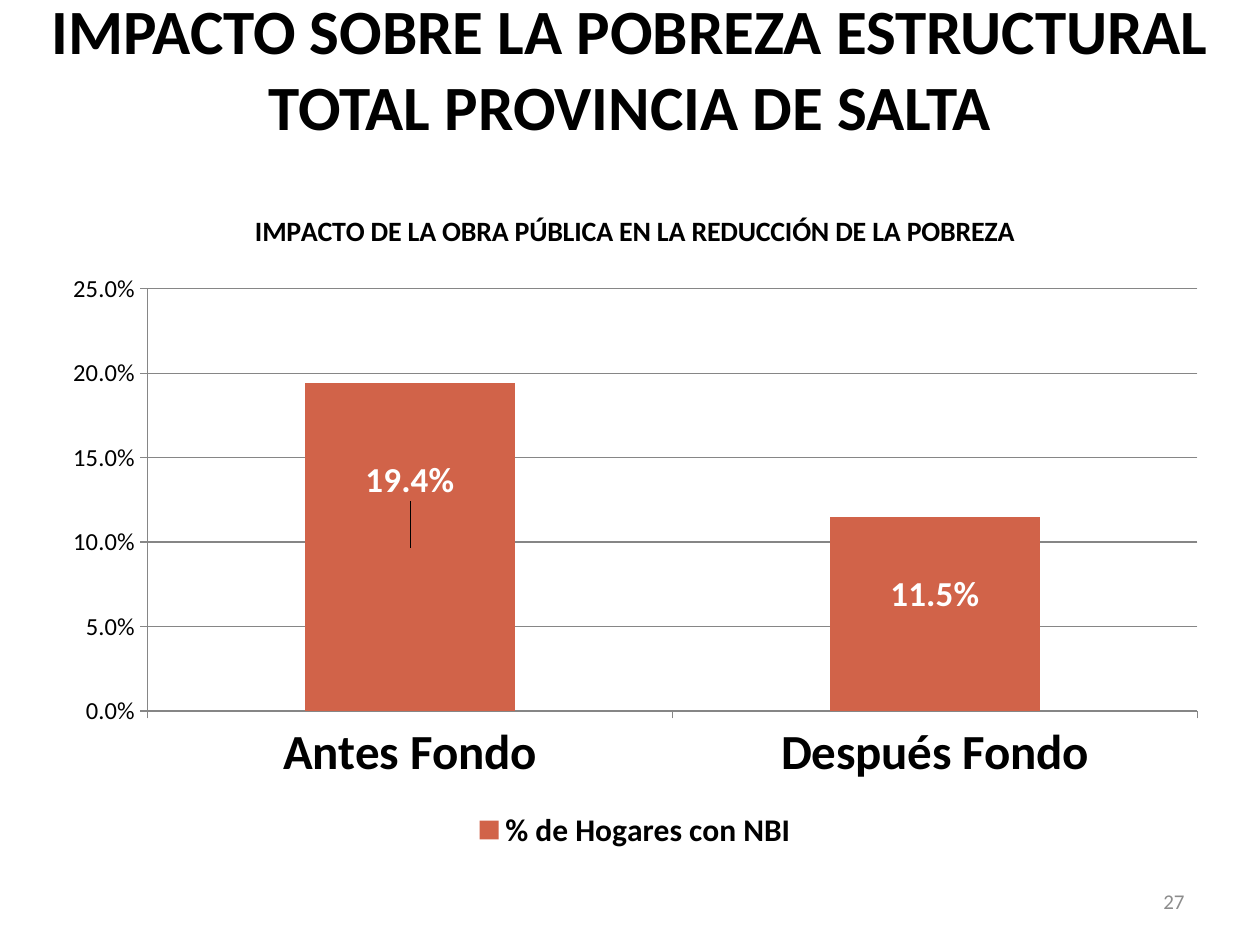
from lxml import etree
from pptx import Presentation
from pptx.chart.data import CategoryChartData
from pptx.dml.color import RGBColor
from pptx.enum import chart as ch, text
from pptx.oxml import parse_xml
from pptx.oxml.ns import nsdecls, qn
from pptx.util import Inches, Pt


def style(font, size, color="000000", bold=False):
    font.name = "Calibri"
    font.size = Pt(size)
    font.bold = bold
    font.color.rgb = RGBColor.from_string(color)


def manual_layout(**settings):
    """Return a c:layout element holding the given manual settings."""
    layout = parse_xml(f"<c:layout {nsdecls('c')}><c:manualLayout/></c:layout>")
    for tag, value in settings.items():
        etree.SubElement(layout[0], qn(f"c:{tag}")).set("val", str(value))
    return layout


prs = Presentation()
prs.slide_width, prs.slide_height = Inches(10), Inches(7.5)
slide = prs.slides.add_slide(prs.slide_layouts[5])

# Heading
heading = slide.shapes.title
heading.left, heading.top = Inches(0), Inches(0)
heading.width, heading.height = Inches(10), Inches(1.07)
heading.text_frame.vertical_anchor = text.MSO_ANCHOR.MIDDLE
heading.text_frame.auto_size = text.MSO_AUTO_SIZE.NONE
heading_line = heading.text_frame.paragraphs[0]
heading_line.alignment = text.PP_ALIGN.CENTER
for i, words in enumerate(["IMPACTO SOBRE LA POBREZA ESTRUCTURAL", "TOTAL PROVINCIA DE SALTA"]):
    if i:
        heading_line.add_line_break()
    run = heading_line.add_run()
    run.text = words
    style(run.font, 36, bold=True)

# Poverty chart
poverty = CategoryChartData(number_format="0.0%")
poverty.categories = ["Antes Fondo", "Después Fondo"]
poverty.add_series("% de Hogares con NBI", [0.194, 0.115])
chart = slide.shapes.add_chart(
    ch.XL_CHART_TYPE.COLUMN_CLUSTERED,
    Inches(0.39), Inches(1.48), Inches(9.3), Inches(5.31), poverty).chart
style(chart.font, 14)

chart.has_title = True
caption = chart.chart_title.text_frame.paragraphs[0].add_run()
caption.text = "IMPACTO DE LA OBRA PÚBLICA EN LA REDUCCIÓN DE LA POBREZA"
style(caption.font, 16, bold=True)

chart.has_legend = True
chart.legend.position = ch.XL_LEGEND_POSITION.BOTTOM
chart.legend.include_in_layout = False
style(chart.legend.font, 18, bold=True)

stages, share = chart.category_axis, chart.value_axis
style(stages.tick_labels.font, 28, bold=True)
style(share.tick_labels.font, 14)
share.minimum_scale, share.maximum_scale, share.major_unit = 0, 0.25, 0.05
share.tick_labels.number_format = "0.0%"
share.tick_labels.number_format_is_linked = False
share.has_major_gridlines = True
for axis in (stages, share):
    axis.major_tick_mark = ch.XL_TICK_MARK.OUTSIDE
for line in (stages.format.line, share.format.line, share.major_gridlines.format.line):
    line.color.rgb = RGBColor.from_string("868686")
    line.width = Pt(0.75)

plot = chart.plots[0]
plot.gap_width = 150
plot.vary_by_categories = False
households = plot.series[0]
households.format.fill.solid()
households.format.fill.fore_color.rgb = RGBColor.from_string("D16349")

labels = households.data_labels
labels.show_value = True
labels.number_format, labels.number_format_is_linked = "0.0%", False
style(labels.font, 20, "FFFFFF", True)
for i, rise in enumerate([-0.1, -0.03]):
    label = households.points[i].data_label
    style(label.font, 20, "FFFFFF", True)
    label.position = ch.XL_LABEL_POSITION.CENTER
    labels._element.findall(qn("c:dLbl"))[i].insert(1, manual_layout(x=0, y=rise))

plot_area = chart._chartSpace.chart.plotArea
for old in plot_area.findall(qn("c:layout")):
    plot_area.remove(old)
plot_area.insert(0, manual_layout(layoutTarget="inner", xMode="edge", yMode="edge",
                                  x=0.084, y=0.153, w=0.896, h=0.631))

# Page number
page = slide.shapes.add_textbox(Inches(7.17), Inches(6.95), Inches(2.33), Inches(0.4)).text_frame
page.word_wrap = True
page.vertical_anchor = text.MSO_ANCHOR.MIDDLE
page.paragraphs[0].alignment = text.PP_ALIGN.RIGHT
number = page.paragraphs[0].add_run()
number.text = "27"
style(number.font, 12, "8C8C8C")

prs.save("out.pptx")
